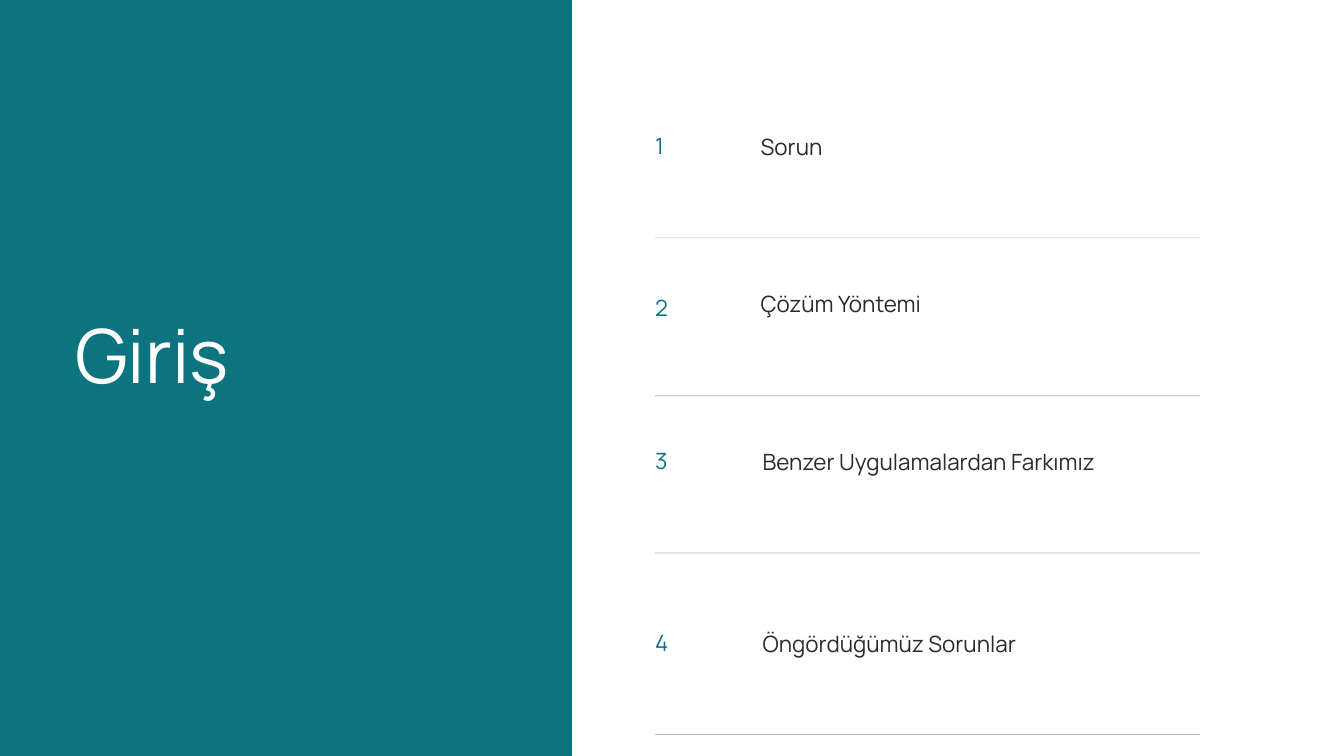
from typing import NamedTuple

from lxml import etree
from pptx import Presentation
from pptx.dml.color import RGBColor
from pptx.enum import shapes, text
from pptx.oxml.ns import qn
from pptx.util import Inches, Pt

FONT = "Manrope"
TEAL, DARK, WHITE, BLACK = "0B747F", "2B2B2B", "FFFFFF", "000000"
LEFT, RIGHT = 9.75, 17.86


class Item(NamedTuple):
    num: str
    label: str
    num_top: float
    left: float
    top: float
    rule: float


ITEMS = [
    Item("1", "Sorun", 2, 11.32, 1.94, 3.54),
    Item("2", "Çözüm Yöntemi", 4.41, 11.32, 4.28, 5.89),
    Item("3", "Benzer Uygulamalardan Farkımız", 6.69, 11.35, 6.63, 8.23),
    Item("4", "Öngördüğümüz Sorunlar", 9.4, 11.35, 9.34, 10.93),
]


def color(code: str) -> RGBColor:
    return RGBColor.from_string(code)


def write(box, words: str, size: float, lead: float, code: str) -> None:
    """Fill a box with one left-aligned line of text."""
    frame = box.text_frame
    frame.text = words
    frame.word_wrap = True
    frame.auto_size = text.MSO_AUTO_SIZE.NONE
    frame.vertical_anchor = text.MSO_ANCHOR.TOP
    frame.margin_left = frame.margin_right = 0
    frame.margin_top = frame.margin_bottom = 0
    para = frame.paragraphs[0]
    para.alignment = text.PP_ALIGN.LEFT
    para.line_spacing = Pt(lead)
    para.space_before = Pt(0)
    font = para.runs[0].font
    font.name, font.size = FONT, Pt(size)
    font.color.rgb = color(code)


def add_text(slide, left: float, top: float, width: float, height: float,
             words: str, lead: float, code: str) -> None:
    box = slide.shapes.add_textbox(
        Inches(left), Inches(top), Inches(width), Inches(height))
    write(box, words, 24, lead, code)


def add_rule(slide, top: float) -> None:
    """Draw a thin, mostly transparent line below an item."""
    rule = slide.shapes.add_connector(
        shapes.MSO_CONNECTOR.STRAIGHT,
        Inches(LEFT), Inches(top), Inches(RIGHT), Inches(top))
    rule.line.width = Pt(0.75)
    rule.line.color.rgb = color(BLACK)
    props = rule._element.spPr
    tint = props.find(".//" + qn("a:srgbClr"))
    etree.SubElement(tint, qn("a:alpha"), val="30000")
    etree.SubElement(props, qn("a:effectLst"))


def add_item(slide, item: Item) -> None:
    add_text(slide, LEFT, item.num_top, 1.16, 0.38, item.num, 26.4, TEAL)
    add_text(slide, item.left, item.top, RIGHT - item.left, 0.42,
             item.label, 31.2, DARK)
    add_rule(slide, item.rule)


def main() -> None:
    deck = Presentation()
    deck.slide_width, deck.slide_height = Inches(20), Inches(11.25)
    slide = deck.slides.add_slide(deck.slide_layouts[5])
    slide.background.fill.solid()
    slide.background.fill.fore_color.rgb = color(WHITE)

    # Left panel, placed behind the title
    panel = slide.shapes.add_shape(
        shapes.MSO_SHAPE.RECTANGLE, 0, 0, Inches(8.51), deck.slide_height)
    panel.shadow.inherit = False
    panel.fill.solid()
    panel.fill.fore_color.rgb = color(TEAL)
    panel.line.fill.background()
    title = slide.shapes.title
    title._element.addprevious(panel._element)

    # Title
    title.left, title.top = Inches(1.12), Inches(4.48)
    title.width, title.height = Inches(6.37), Inches(1.42)
    write(title, "Giriş", 80, 104, WHITE)

    # Numbered agenda
    for item in ITEMS:
        add_item(slide, item)

    deck.save("out.pptx")


if __name__ == "__main__":
    main()
